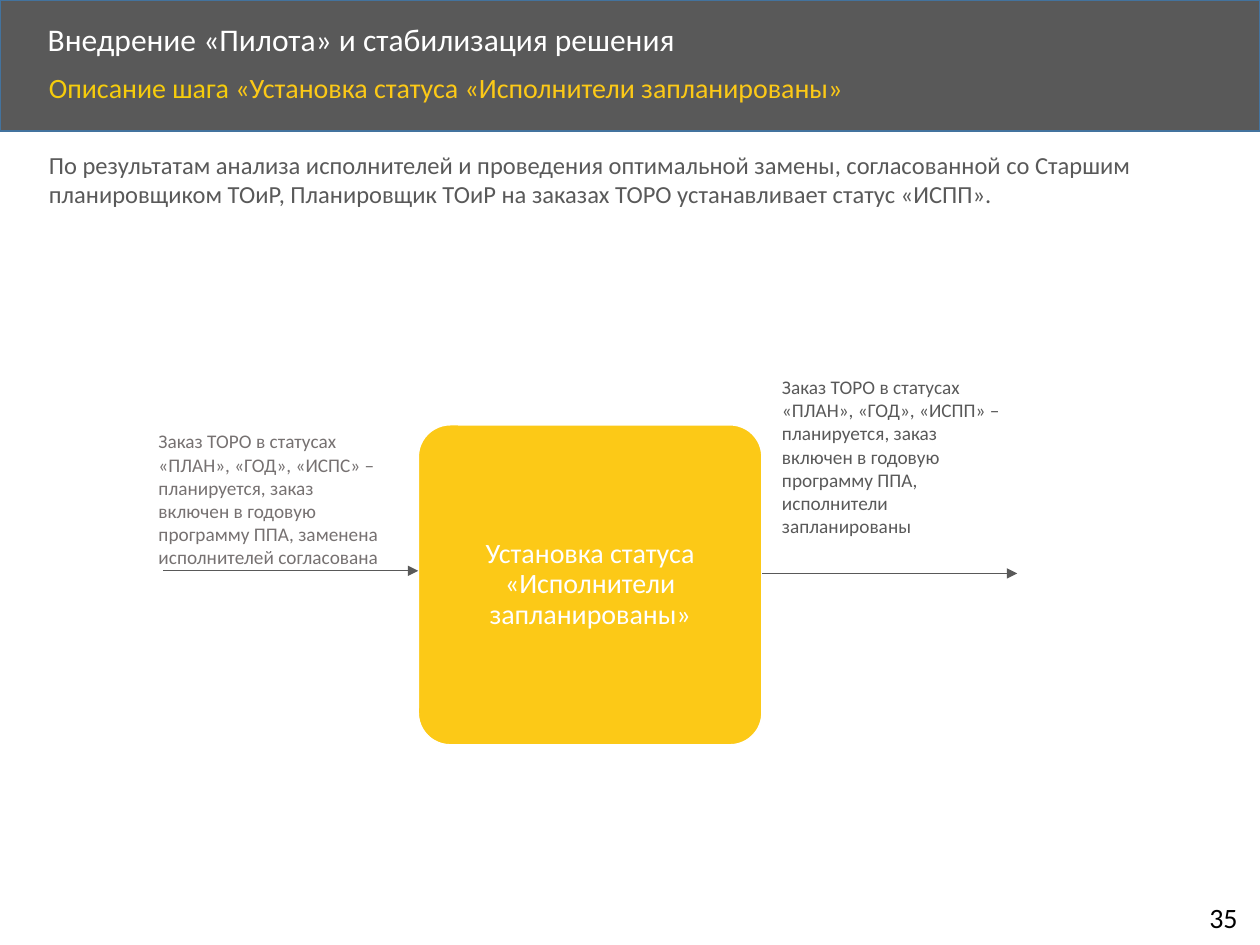
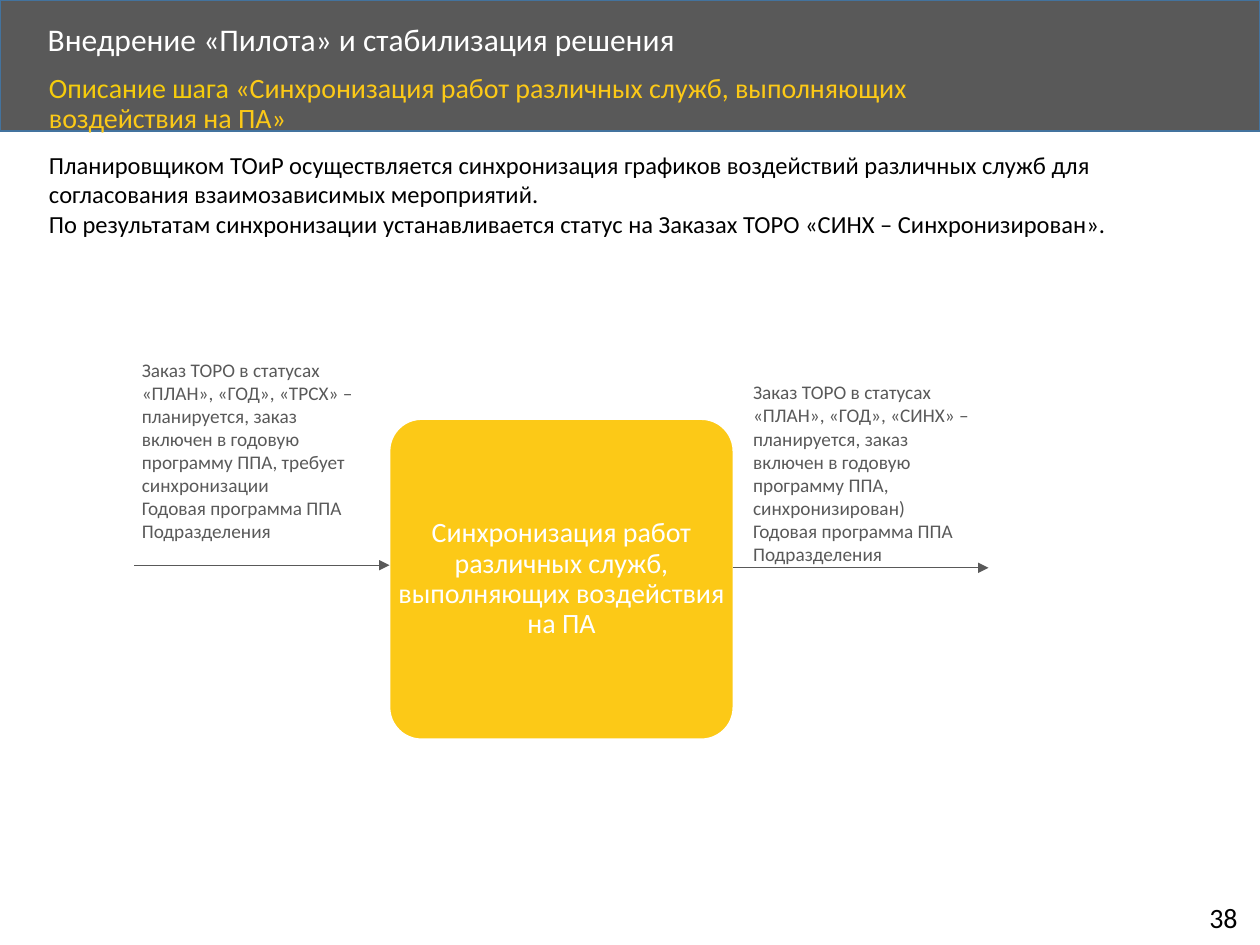
from dataclasses import dataclass

from lxml.etree import SubElement
from pptx import Presentation
from pptx.dml.color import RGBColor
from pptx.enum.shapes import MSO_CONNECTOR, MSO_SHAPE
from pptx.enum.text import MSO_ANCHOR, PP_ALIGN
from pptx.oxml.ns import qn
from pptx.slide import Slide
from pptx.text.text import TextFrame
from pptx.util import Pt

FONT = "Calibri"
WHITE = RGBColor(0xFF, 0xFF, 0xFF)
BLACK = RGBColor(0x00, 0x00, 0x00)
GREY = RGBColor(0x59, 0x59, 0x59)
WARM_GREY = RGBColor(0x76, 0x71, 0x71)
YELLOW = RGBColor(0xFC, 0xC9, 0x17)
DARK_YELLOW = RGBColor(0xF6, 0xCC, 0x0C)
BAND_EDGE = RGBColor(0x43, 0x73, 0x9E)

SLIDE_WIDTH, SLIDE_HEIGHT = 720, 540
STEP_WIDTH, STEP_HEIGHT = 196.5, 183
LABEL_GAP = 4.3
ARROW_LENGTH = 145.8
INPUT_ARROW_DROP, OUTPUT_ARROW_DROP = 83.5, 85
NOTE_WIDTH = 144

SECTION = "Внедрение «Пилота» и стабилизация решения"
SUBTITLE_LEAD = "Описание шага "


@dataclass(frozen=True)
class Area:
    left: float
    top: float
    width: float
    height: float


@dataclass(frozen=True)
class TextStyle:
    size: float
    color: RGBColor
    align: PP_ALIGN = PP_ALIGN.LEFT
    anchor: MSO_ANCHOR = MSO_ANCHOR.TOP
    line_spacing: float = 1.0
    wrap: bool = True
    margin: float | None = None


@dataclass(frozen=True)
class Note:
    text: str
    left: float
    top: float
    height: float
    color: RGBColor = GREY


@dataclass(frozen=True)
class StepPage:
    number: int
    step: str
    subtitle_width: float
    summary: str
    summary_color: RGBColor
    step_left: float
    step_top: float
    incoming: Note
    outgoing: Note


SECTION_STYLE = TextStyle(18, WHITE, anchor=MSO_ANCHOR.MIDDLE, line_spacing=0.9)
SUBTITLE_STYLE = TextStyle(16, YELLOW, line_spacing=0.9)
NUMBER_STYLE = TextStyle(16, BLACK, wrap=False)
STEP_STYLE = TextStyle(16, WHITE, PP_ALIGN.CENTER, MSO_ANCHOR.MIDDLE, 0.9, margin=0.7)

PAGES = [
    StepPage(
        number=35,
        step="Установка статуса «Исполнители запланированы»",
        subtitle_width=623,
        summary="По результатам анализа исполнителей и проведения оптимальной замены, "
        "согласованной со Старшим планировщиком ТОиР, Планировщик ТОиР на заказах ТОРО "
        "устанавливает статус «ИСПП».",
        summary_color=GREY,
        step_left=239,
        step_top=242.7,
        incoming=Note(
            "Заказ ТОРО в статусах «ПЛАН», «ГОД», «ИСПС» – планируется, заказ включен "
            "в годовую программу ППА, заменена исполнителей согласована",
            83.5, 242, 87, WARM_GREY),
        outgoing=Note(
            "Заказ ТОРО в статусах «ПЛАН», «ГОД», «ИСПП» – планируется, заказ включен "
            "в годовую программу ППА, исполнители запланированы",
            439.8, 211, 101),
    ),
    StepPage(
        number=38,
        step="Синхронизация работ различных служб, выполняющих воздействия на ПА",
        subtitle_width=584,
        summary="Планировщиком ТОиР осуществляется синхронизация графиков воздействий "
        "различных служб для согласования взаимозависимых мероприятий.\n"
        "По результатам синхронизации устанавливается статус на Заказах ТОРО "
        "«СИНХ – Синхронизирован».",
        summary_color=BLACK,
        step_left=222.6,
        step_top=239.5,
        incoming=Note(
            "Заказ ТОРО в статусах «ПЛАН», «ГОД», «ТРСХ» – планируется, заказ включен "
            "в годовую программу ППА, требует синхронизации\n"
            "Годовая программа ППА Подразделения",
            74, 201, 114),
        outgoing=Note(
            "Заказ ТОРО в статусах «ПЛАН», «ГОД», «СИНХ» – планируется, заказ включен "
            "в годовую программу ППА, синхронизирован)\n"
            "Годовая программа ППА Подразделения",
            423.3, 214, 114),
    ),
]


def add_text(slide: Slide, area: Area, text: str, style: TextStyle) -> TextFrame:
    frame = slide.shapes.add_textbox(
        Pt(area.left), Pt(area.top), Pt(area.width), Pt(area.height)).text_frame
    frame.text = text
    frame.word_wrap = style.wrap
    frame.vertical_anchor = style.anchor
    if style.margin is not None:
        frame.margin_left = frame.margin_right = Pt(style.margin)
        frame.margin_top = frame.margin_bottom = Pt(style.margin)
    for paragraph in frame.paragraphs:
        paragraph.alignment = style.align
        paragraph.line_spacing = style.line_spacing
        for run in paragraph.runs:
            run.font.name = FONT
            run.font.size = Pt(style.size)
            run.font.color.rgb = style.color
    return frame


def add_block(slide: Slide, kind: MSO_SHAPE, area: Area, fill: RGBColor,
              edge: RGBColor, corner: float | None = None) -> None:
    block = slide.shapes.add_shape(
        kind, Pt(area.left), Pt(area.top), Pt(area.width), Pt(area.height))
    block.shadow.inherit = False
    block.fill.solid()
    block.fill.fore_color.rgb = fill
    block.line.color.rgb = edge
    block.line.width = Pt(1)
    if corner is not None:
        block.adjustments[0] = corner


def add_flow_arrow(slide: Slide, left: float, y: float) -> None:
    arrow = slide.shapes.add_connector(
        MSO_CONNECTOR.STRAIGHT, Pt(left), Pt(y), Pt(left + ARROW_LENGTH), Pt(y))
    arrow.line.color.rgb = GREY
    arrow.line.width = Pt(0.5)
    SubElement(arrow.line._get_or_add_ln(), qn("a:tailEnd"), type="triangle")
    SubElement(arrow._element.spPr, qn("a:effectLst"))


def add_note(slide: Slide, note: Note) -> None:
    area = Area(note.left, note.top, NOTE_WIDTH, note.height)
    add_text(slide, area, note.text, TextStyle(11, note.color))


def add_header(slide: Slide, page: StepPage) -> None:
    add_block(slide, MSO_SHAPE.RECTANGLE, Area(0, 0, SLIDE_WIDTH, 75), GREY, BAND_EDGE)
    add_text(slide, Area(20.2, 10, 581, 27.5), SECTION, SECTION_STYLE)
    name = page.step if page.step.endswith("»") else f"{page.step}»"
    subtitle = add_text(slide, Area(20.9, 39, page.subtitle_width, 32.4),
                        SUBTITLE_LEAD, SUBTITLE_STYLE).paragraphs[0]
    lead = subtitle.runs[0]
    lead.font.color.rgb = DARK_YELLOW
    step_name = subtitle.add_run()
    step_name.text = f"«{name}"
    step_name.font.name = FONT
    step_name.font.size = lead.font.size
    step_name.font.color.rgb = YELLOW


def add_step(slide: Slide, page: StepPage) -> None:
    """Draw the step with the arrows and notes of its input and output."""
    left, top = page.step_left, page.step_top
    add_block(slide, MSO_SHAPE.ROUNDED_RECTANGLE,
              Area(left, top, STEP_WIDTH, STEP_HEIGHT), YELLOW, WHITE, corner=0.1)
    label = Area(left + LABEL_GAP, top + LABEL_GAP,
                 STEP_WIDTH - 2 * LABEL_GAP, STEP_HEIGHT - 2 * LABEL_GAP)
    add_text(slide, label, page.step, STEP_STYLE)
    add_flow_arrow(slide, left - ARROW_LENGTH, top + INPUT_ARROW_DROP)
    add_flow_arrow(slide, left + STEP_WIDTH, top + OUTPUT_ARROW_DROP)
    add_note(slide, page.incoming)
    add_note(slide, page.outgoing)


def main() -> None:
    deck = Presentation()
    deck.slide_width, deck.slide_height = Pt(SLIDE_WIDTH), Pt(SLIDE_HEIGHT)
    for page in PAGES:
        slide = deck.slides.add_slide(deck.slide_layouts[6])
        add_header(slide, page)
        add_text(slide, Area(20.9, 82, 681, 41), page.summary,
                 TextStyle(14, page.summary_color))
        add_step(slide, page)
        add_text(slide, Area(684, 511.2, 33, 26.6), str(page.number), NUMBER_STYLE)
    deck.save("out.pptx")


if __name__ == "__main__":
    main()
